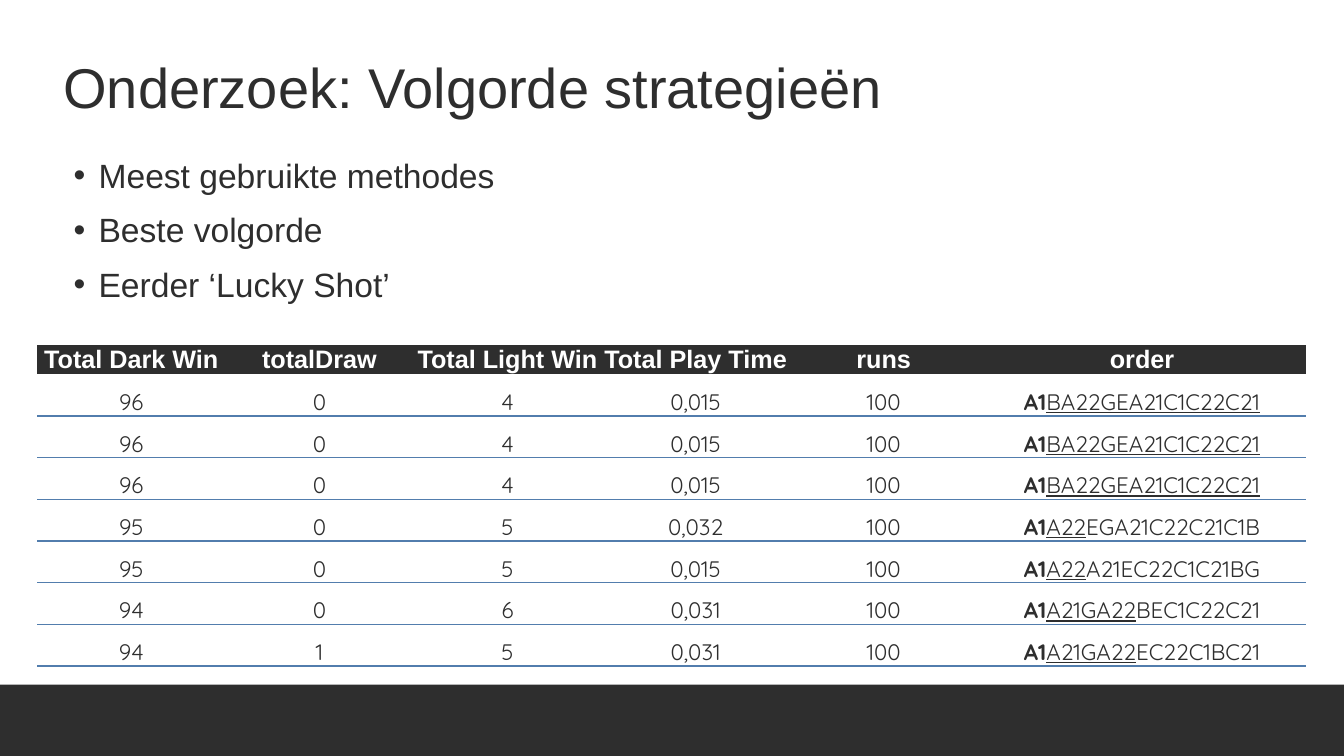
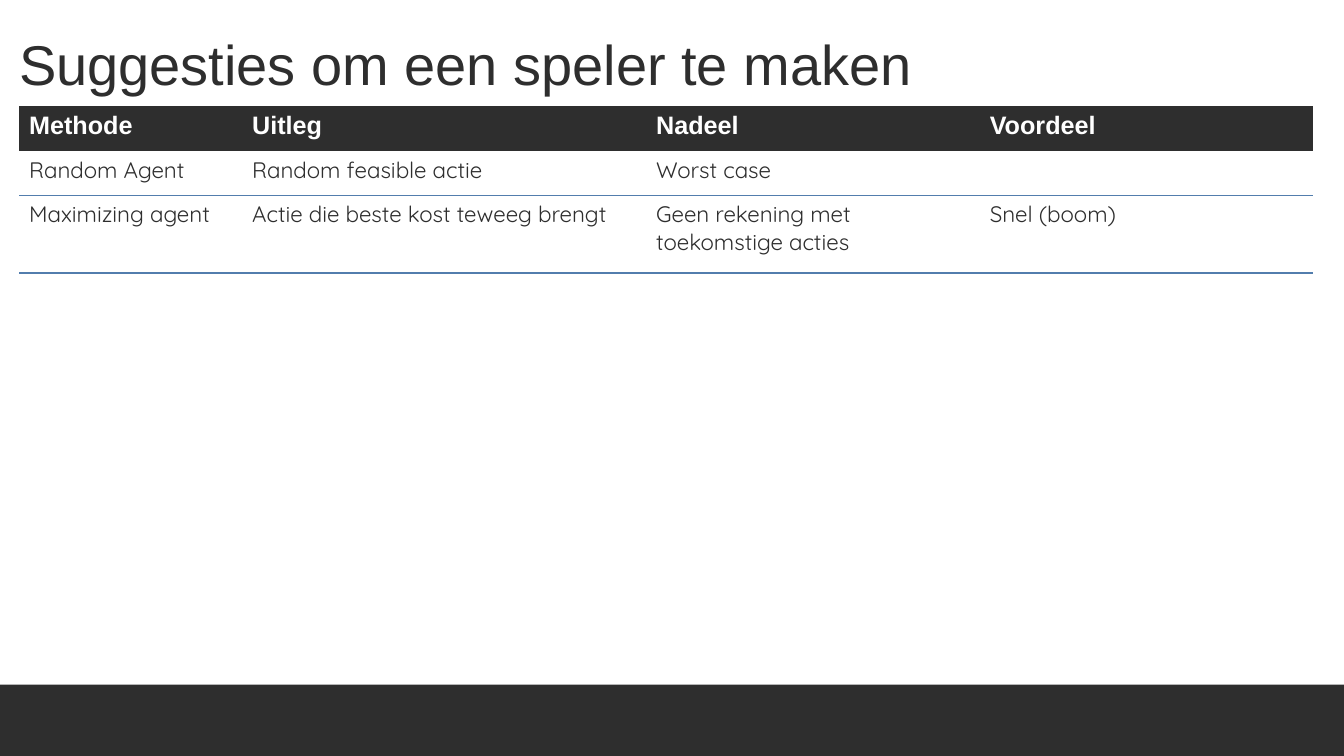
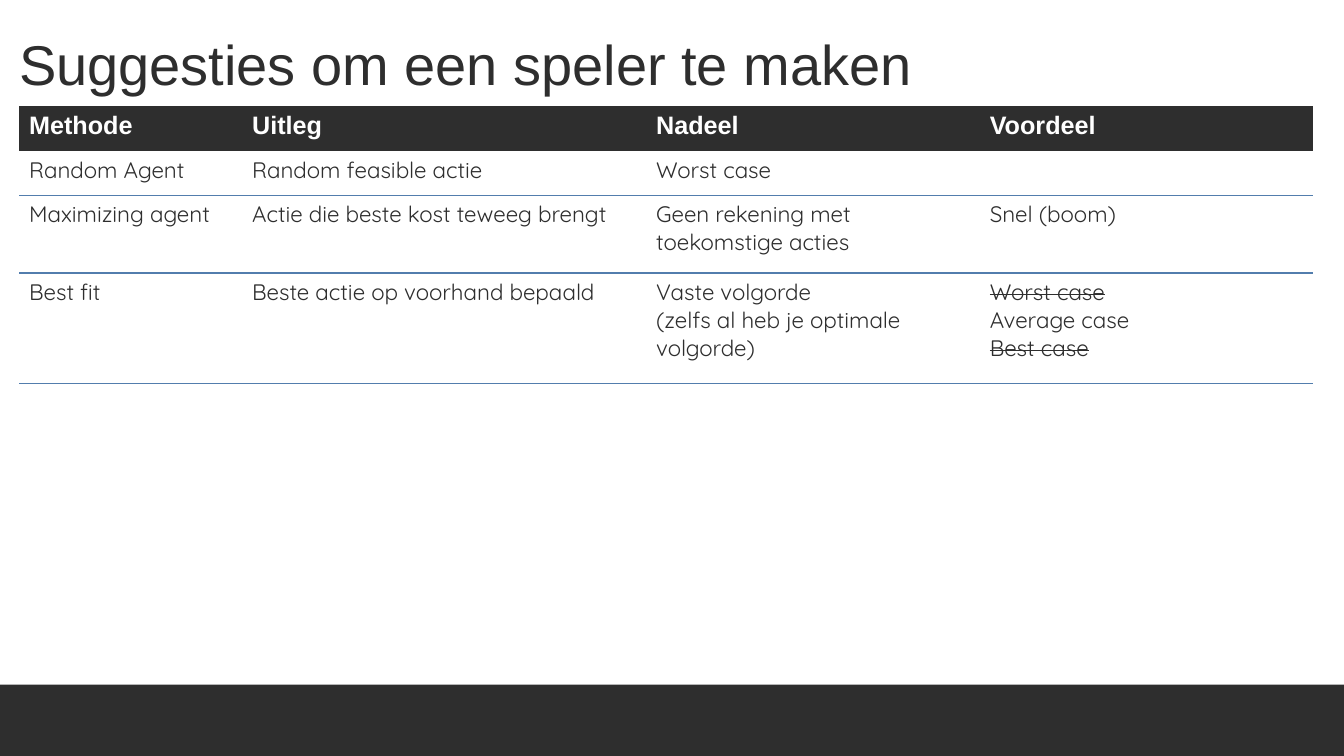
"""Builds three slides on order strategies and on suggestions for making a player."""
from lxml import etree
from pptx import Presentation
from pptx.dml.color import RGBColor
from pptx.enum.shapes import MSO_SHAPE
from pptx.enum.text import MSO_ANCHOR, MSO_AUTO_SIZE, PP_ALIGN
from pptx.oxml.ns import qn
from pptx.util import Cm, Pt

RECTANGLE = MSO_SHAPE.RECTANGLE
TOP, MIDDLE, BOTTOM = MSO_ANCHOR.TOP, MSO_ANCHOR.MIDDLE, MSO_ANCHOR.BOTTOM
LEFT, CENTER = PP_ALIGN.LEFT, PP_ALIGN.CENTER
NO_AUTOFIT = MSO_AUTO_SIZE.NONE

COLORS = {"dark": "2E2E2E", "white": "FFFFFF", "rule": "527DAD"}
HEADING_FONT, CELL_FONT = "Arial", "Quicksand"
PLAIN_TABLE_STYLE = "{2D5ABB26-0587-4C30-8999-92F81FD0307C}"
SLIDE_WIDTH, SLIDE_HEIGHT = Cm(33.87), Cm(19.05)
BAND_HEIGHT = Cm(1.8)
TITLE_WIDTH, TITLE_HEIGHT = Cm(30.66), Cm(3.2)

TOPICS = ["Meest gebruikte methodes", "Beste volgorde", "Eerder ‘Lucky Shot’"]
RESULT_HEADINGS = ["Total Dark Win", "totalDraw", "Total Light Win",
                   "Total Play Time", "runs", "order"]
RESULTS = [
    ("96", "0", "4", "0,015", "BA22GEA21C1C22C21", ""),
    ("96", "0", "4", "0,015", "BA22GEA21C1C22C21", ""),
    ("96", "0", "4", "0,015", "BA22GEA21C1C22C21", ""),
    ("95", "0", "5", "0,032", "A22", "EGA21C22C21C1B"),
    ("95", "0", "5", "0,015", "A22", "A21EC22C1C21BG"),
    ("94", "0", "6", "0,031", "A21GA22", "BEC1C22C21"),
    ("94", "1", "5", "0,031", "A21GA22", "EC22C1BC21"),
]
METHOD_HEADINGS = ["Methode", "Uitleg", "Nadeel", "Voordeel"]
METHODS = [
    ["Random Agent", "Random feasible actie", "Worst case", ""],
    ["Maximizing agent", "Actie die beste kost teweeg brengt",
     "Geen rekening met toekomstige acties", "Snel (boom)"],
    ["Best fit", "Beste actie op voorhand bepaald",
     "Vaste volgorde\n(zelfs al heb je optimale volgorde)",
     [[("Worst case", "strike")], [("Average case", "")], [("Best case", "strike")]]],
]
METHOD_ROW_HEIGHTS = [1.12, 1.12, 1.96, 2.79]


def rgb(name):
    """Return the named colour."""
    return RGBColor.from_string(COLORS[name])


def set_font(paragraph, face, size, color, bold=False):
    """Set the font of a whole paragraph."""
    font = paragraph.font
    font.name, font.size, font.bold = face, Pt(size), bold
    font.color.rgb = rgb(color)


def add_master_band(prs, slide):
    """Put the dark bottom band on the slide master."""
    band = slide.shapes.add_shape(RECTANGLE, 0, SLIDE_HEIGHT - BAND_HEIGHT,
                                  SLIDE_WIDTH, BAND_HEIGHT)
    band.shadow.inherit = False
    band.fill.solid()
    band.fill.fore_color.rgb = rgb("dark")
    band.line.fill.background()
    prs.slide_master.element.cSld.spTree.insert(2, band.element)


def place_title(slide, text, left, top):
    """Place and format the slide title."""
    title = slide.shapes.title
    title.left, title.top = left, top
    title.width, title.height = TITLE_WIDTH, TITLE_HEIGHT
    frame = title.text_frame
    frame.text = text
    frame.auto_size = NO_AUTOFIT
    frame.vertical_anchor = MIDDLE
    frame.margin_left = frame.margin_right = frame.margin_top = frame.margin_bottom = 0
    frame.paragraphs[0].alignment = LEFT
    set_font(frame.paragraphs[0], HEADING_FONT, 40, "dark")


def place_topics(slide, topics, left, top, width, height):
    """Fill the body placeholder with the bulleted topics."""
    body = slide.placeholders[1]
    body.left, body.top, body.width, body.height = left, top, width, height
    frame = body.text_frame
    frame.text = "\n".join(topics)
    frame.auto_size = NO_AUTOFIT
    for paragraph in frame.paragraphs:
        paragraph.space_before = Pt(10)
        set_font(paragraph, HEADING_FONT, 24, "dark")
        properties = paragraph._p.get_or_add_pPr()
        properties.set("marL", str(Cm(0.63)))
        properties.set("indent", str(Cm(-0.63)))


def add_border(cell, side, color, width):
    """Draw one side (L, R, T or B) of a cell."""
    line = etree.SubElement(cell._tc.get_or_add_tcPr(), qn(f"a:ln{side}"), w=str(Pt(width)))
    fill = etree.SubElement(line, qn("a:solidFill"))
    etree.SubElement(fill, qn("a:srgbClr"), val=COLORS[color])


def write_cell(cell, content):
    """Write a string, or paragraphs of (text, style) runs, into a cell."""
    if isinstance(content, str):
        cell.text_frame.text = content
        return
    for index, runs in enumerate(content):
        frame = cell.text_frame
        paragraph = frame.add_paragraph() if index else frame.paragraphs[0]
        for text, style in runs:
            run = paragraph.add_run()
            run.text = text
            if style == "bold":
                run.font.bold = True
            elif style == "underline":
                run.font.underline = True
            elif style == "strike":
                run._r.get_or_add_rPr().set("strike", "sngStrike")


def style_cell(cell, is_header, alignment):
    """Set the borders, fill and fonts of a header or body cell."""
    if is_header:
        add_border(cell, "T", "dark", 0.5)
        cell.fill.solid()
        cell.fill.fore_color.rgb = rgb("dark")
    else:
        add_border(cell, "B", "rule", 1)
        cell.fill.background()
    for paragraph in cell.text_frame.paragraphs:
        paragraph.alignment = alignment
        if is_header:
            set_font(paragraph, HEADING_FONT, 18, "white", bold=True)
        else:
            set_font(paragraph, CELL_FONT, 16, "dark")


def place_table(slide, rows, left, top, widths, heights, compact=False):
    """Add a ruled table; a compact one is centred, with narrow margins."""
    frame = slide.shapes.add_table(len(rows), len(widths), left, top,
                                   Cm(sum(widths)), Cm(sum(heights)))
    table = frame.table
    table.horz_banding = False
    table._tbl.tblPr.find(qn("a:tableStyleId")).text = PLAIN_TABLE_STYLE
    for column, width in zip(table.columns, widths):
        column.width = Cm(width)
    for row_index, (row, height, contents) in enumerate(zip(table.rows, heights, rows)):
        row.height = Cm(height)
        for cell, content in zip(row.cells, contents):
            write_cell(cell, content)
            style_cell(cell, row_index == 0, CENTER if compact else LEFT)
            if compact:
                cell.margin_left = cell.margin_right = cell.margin_top = Cm(0.02)
                cell.margin_bottom = 0
                cell.vertical_anchor = BOTTOM if row_index else TOP


def result_row(dark, draw, light, time, shared, rest):
    """Return the cells of one result, with the order in styled runs."""
    runs = [("A1", "bold"), (shared, "underline")]
    if rest:
        runs.append((rest, ""))
    return [dark, draw, light, time, "100", [runs]]


def build_order_slide(prs):
    """Build the slide on order strategies."""
    slide = prs.slides.add_slide(prs.slide_layouts[1])
    place_title(slide, "Onderzoek: Volgorde strategieën", Cm(1.6), Cm(0.58))
    place_topics(slide, TOPICS, Cm(1.6), Cm(3.78), TITLE_WIDTH, Cm(13.23))
    rows = [RESULT_HEADINGS] + [result_row(*result) for result in RESULTS]
    place_table(slide, rows, Cm(0.94), Cm(8.7), [4.74] * 5 + [8.28],
                [0.61] + [1.05] * len(RESULTS), compact=True)
    return slide


def build_methods_slide(prs, methods):
    """Build a slide listing ways to make a player."""
    slide = prs.slides.add_slide(prs.slide_layouts[5])
    place_title(slide, "Suggesties om een speler te maken", Cm(0.48), Cm(0))
    rows = [METHOD_HEADINGS] + methods
    place_table(slide, rows, Cm(0.48), Cm(2.68), [5.62, 10.18, 8.41, 8.41],
                METHOD_ROW_HEIGHTS[:len(rows)])


def main():
    """Build and save the presentation."""
    prs = Presentation()
    prs.slide_width, prs.slide_height = SLIDE_WIDTH, SLIDE_HEIGHT
    order_slide = build_order_slide(prs)
    add_master_band(prs, order_slide)
    for count in (2, 3):
        build_methods_slide(prs, METHODS[:count])
    prs.save("out.pptx")


if __name__ == "__main__":
    main()
